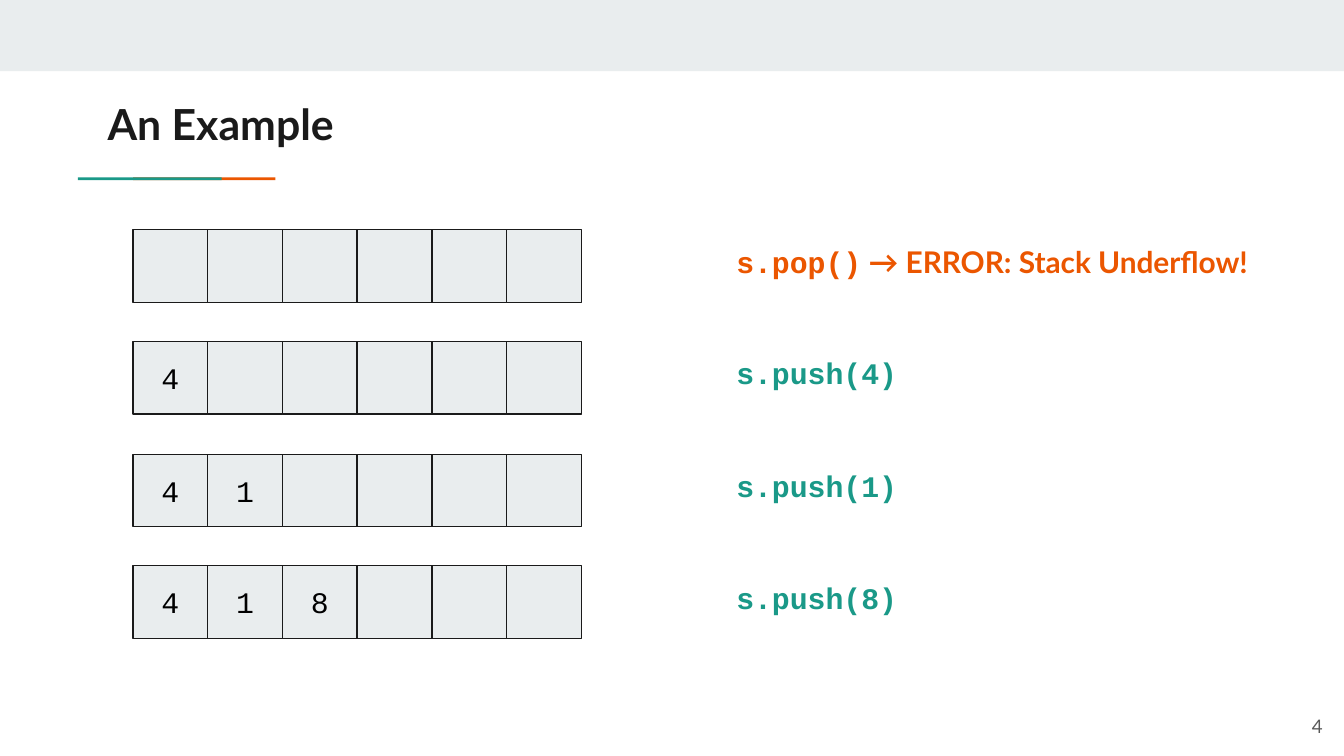
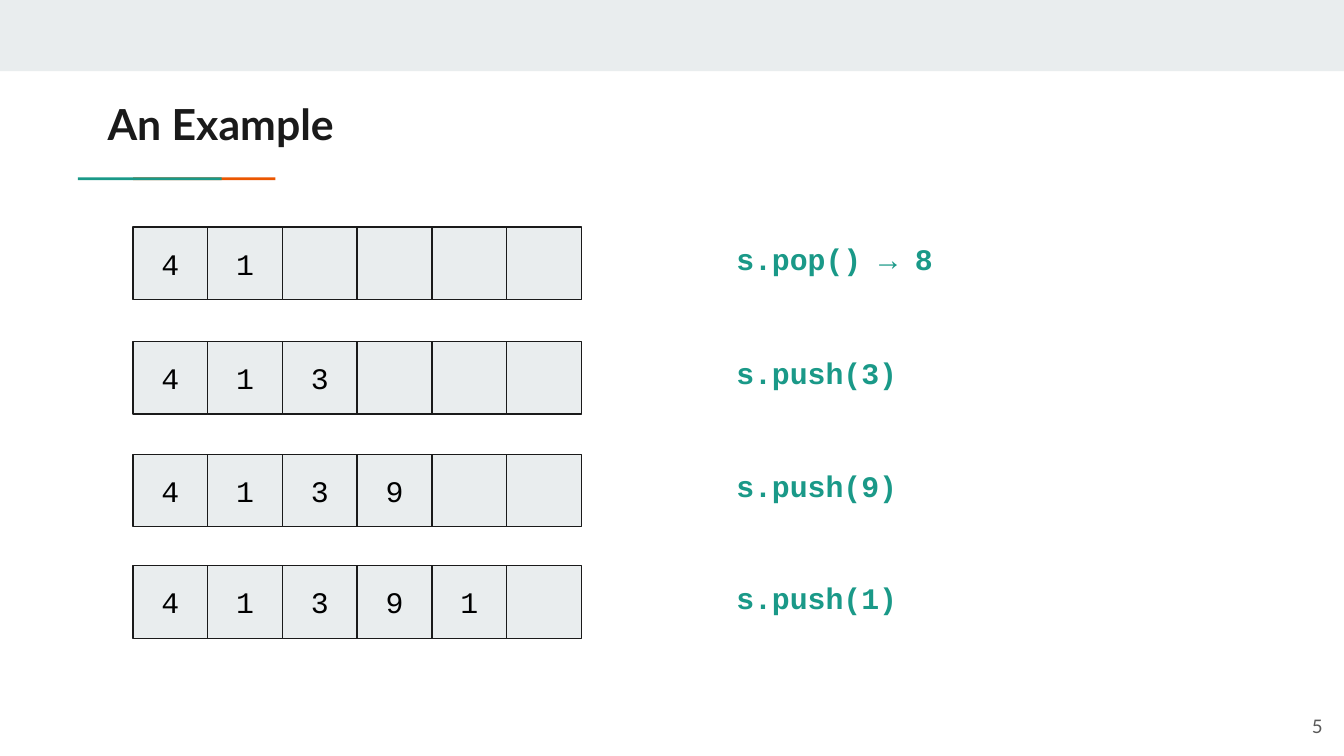
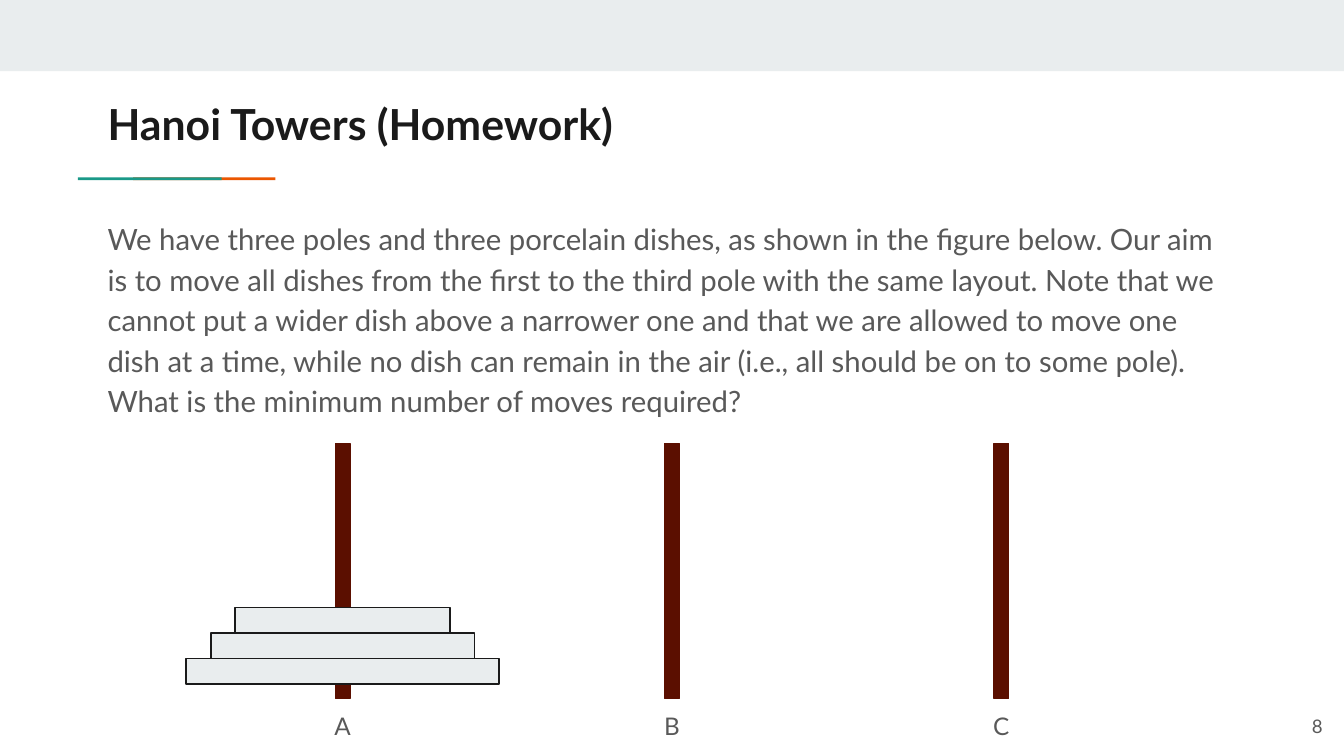
from pptx import Presentation
from pptx.dml.color import RGBColor
from pptx.enum.shapes import MSO_SHAPE
from pptx.enum.text import MSO_ANCHOR, PP_ALIGN
from pptx.util import Inches, Pt

RECTANGLE = MSO_SHAPE.RECTANGLE
TOP, MIDDLE = MSO_ANCHOR.TOP, MSO_ANCHOR.MIDDLE
LEFT, CENTER, RIGHT = PP_ALIGN.LEFT, PP_ALIGN.CENTER, PP_ALIGN.RIGHT

PALE = RGBColor(0xE9, 0xED, 0xEE)
ORANGE = RGBColor(0xEB, 0x56, 0x00)
TEAL = RGBColor(0x1A, 0x99, 0x88)
INK = RGBColor(0x1A, 0x1A, 0x1A)
GREY = RGBColor(0x59, 0x59, 0x59)
BLACK = RGBColor(0x00, 0x00, 0x00)
BROWN = RGBColor(0x5B, 0x0F, 0x00)
SANS, MONO = "Lato", "Courier New"


def add_block(shapes, left, top, width, height, fill, outline=None):
    block = shapes.add_shape(RECTANGLE, Inches(left), Inches(top), Inches(width), Inches(height))
    block.shadow.inherit = False
    block.fill.solid()
    block.fill.fore_color.rgb = fill
    if outline is None:
        block.line.fill.background()
    else:
        block.line.color.rgb = outline
        block.line.width = Pt(0.75)
    return block


def write(shape, text, size, color, font=SANS, bold=False, align=LEFT, anchor=TOP,
          side=0.1, line_spacing=None, space_after=None):
    """Fill the shape with one paragraph; text is a string or (string, font) pairs."""
    frame = shape.text_frame
    frame.word_wrap = True
    frame.vertical_anchor = anchor
    frame.margin_left = frame.margin_right = Inches(side)
    frame.margin_top = frame.margin_bottom = Inches(0.1)
    paragraph = frame.paragraphs[0]
    paragraph.alignment = align
    paragraph.line_spacing = line_spacing
    paragraph.space_after = space_after
    for part, part_font in [(text, font)] if isinstance(text, str) else text:
        run = paragraph.add_run()
        run.text = part
        run.font.name = part_font
        run.font.size = Pt(size)
        run.font.bold = bold
        run.font.color.rgb = color


prs = Presentation()
prs.slide_width, prs.slide_height = Inches(10), Inches(5.625)

# Band, accent line, title and page number of every slide
slides = []
for title, page in [("An Example", "4"), ("An Example", "5"), ("Hanoi Towers (Homework)", "8")]:
    slide = prs.slides.add_slide(prs.slide_layouts[6])
    add_block(slide.shapes, 0, 0, 10, 0.53, PALE)
    accent = slide.shapes.add_group_shape().shapes
    add_block(accent, 0.99, 1.32, 1.06, 0.02, ORANGE)
    add_block(accent, 0.58, 1.32, 1.07, 0.02, TEAL)
    heading = slide.shapes.add_textbox(Inches(0.8), Inches(0.63), Inches(8.41), Inches(0.59))
    write(heading, title, size=22.9, color=INK, bold=True, side=0)
    number = slide.shapes.add_textbox(Inches(9.34), Inches(5.19), Inches(0.6), Inches(0.43))
    write(number, page, size=10, color=GREY, align=RIGHT, anchor=MIDDLE)
    slides.append(slide)

first_steps, next_steps, hanoi = slides

# Stack states: top of the row, stack content, operation, colour of the operation
underflow = [("s.pop()", MONO), (" → ERROR: Stack Underflow!", SANS)]
stack_states = [
    (first_steps, [
        (1.71, "", underflow, ORANGE),
        (2.54, "4", "s.push(4)", TEAL),
        (3.38, "41", "s.push(1)", TEAL),
        (4.21, "418", "s.push(8)", TEAL),
    ]),
    (next_steps, [
        (1.69, "41", "s.pop() → 8", TEAL),
        (2.54, "413", "s.push(3)", TEAL),
        (3.38, "4139", "s.push(9)", TEAL),
        (4.21, "41391", "s.push(1)", TEAL),
    ]),
]
CAPACITY = 6
CELL_WIDTH, CELL_HEIGHT = 0.556, 0.54

for slide, states in stack_states:
    for top, stack, operation, color in states:
        row = slide.shapes.add_group_shape().shapes
        for i in range(CAPACITY):
            cell = add_block(row, 0.99 + i * CELL_WIDTH, top, CELL_WIDTH, CELL_HEIGHT, PALE, INK)
            if i < len(stack):
                write(cell, stack[i], size=16, color=BLACK, font=MONO, align=CENTER, anchor=MIDDLE)
        call = row.add_textbox(Inches(5.38), Inches(top), Inches(4.25), Inches(CELL_HEIGHT))
        write(call, operation, size=16, color=color, font=MONO, bold=True)

# Hanoi towers
task = hanoi.shapes.add_textbox(Inches(0.8), Inches(1.51), Inches(8.41), Inches(1.7))
write(task,
      "We have three poles and three porcelain dishes, as shown in the figure below. "
      "Our aim is to move all dishes from the first to the third pole with the same layout. "
      "Note that we cannot put a wider dish above a narrower one and that we are allowed to "
      "move one dish at a time, while no dish can remain in the air (i.e., all should be on "
      "to some pole). What is the minimum number of moves required?",
      size=15.7, color=GREY, side=0, line_spacing=1.15, space_after=Pt(12))

FIRST_POLE, POLE_GAP = 2.55, 2.45
POLE_WIDTH, LABEL_WIDTH, DISH_HEIGHT = 0.11, 0.56, 0.19
towers = hanoi.shapes.add_group_shape().shapes
for i, pole_name in enumerate("ABC"):
    center = FIRST_POLE + i * POLE_GAP
    add_block(towers, center - POLE_WIDTH / 2, 3.3, POLE_WIDTH, 1.9, BROWN, BROWN)
    label = towers.add_textbox(Inches(center - LABEL_WIDTH / 2), Inches(5.19),
                               Inches(LABEL_WIDTH), Inches(0.34))
    write(label, pole_name, size=13, color=GREY, align=CENTER)
for i, dish_width in enumerate([2.33, 1.96, 1.6]):
    add_block(towers, FIRST_POLE - dish_width / 2, 4.9 - i * DISH_HEIGHT,
              dish_width, DISH_HEIGHT, PALE, INK)

prs.save("out.pptx")
